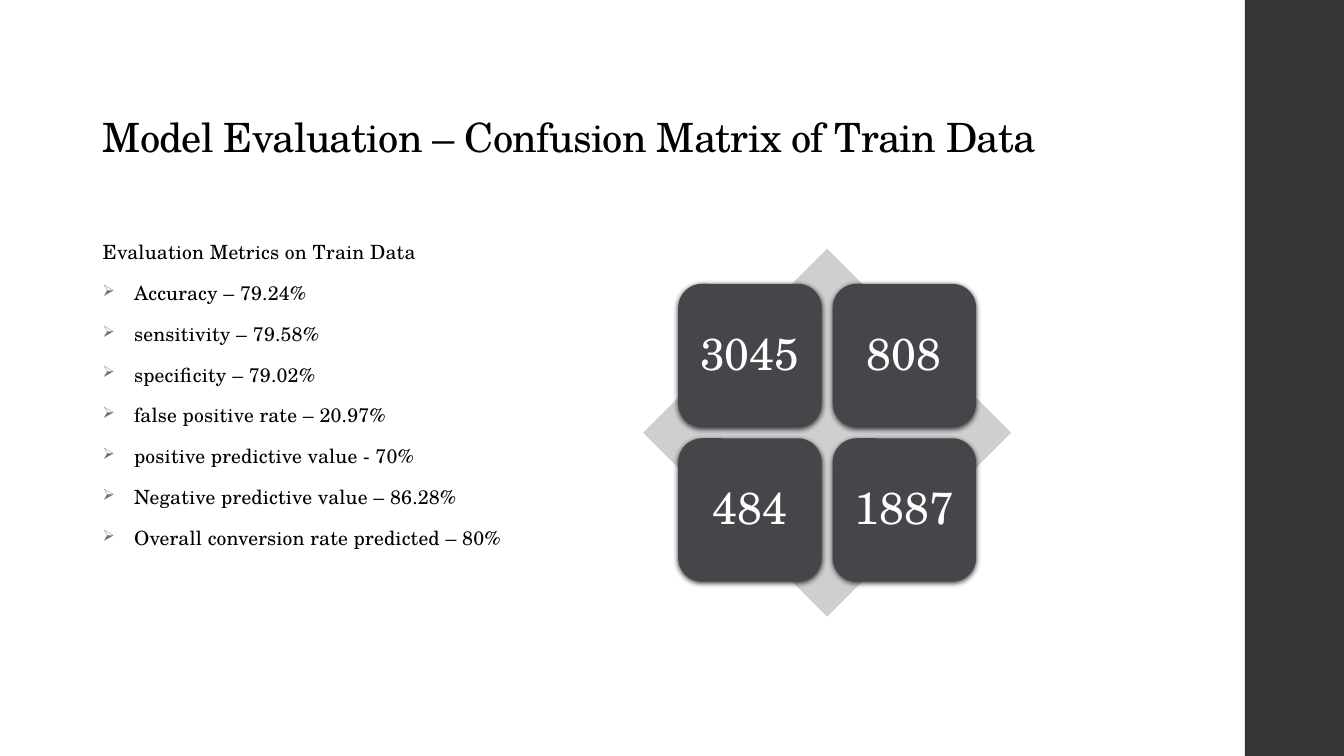
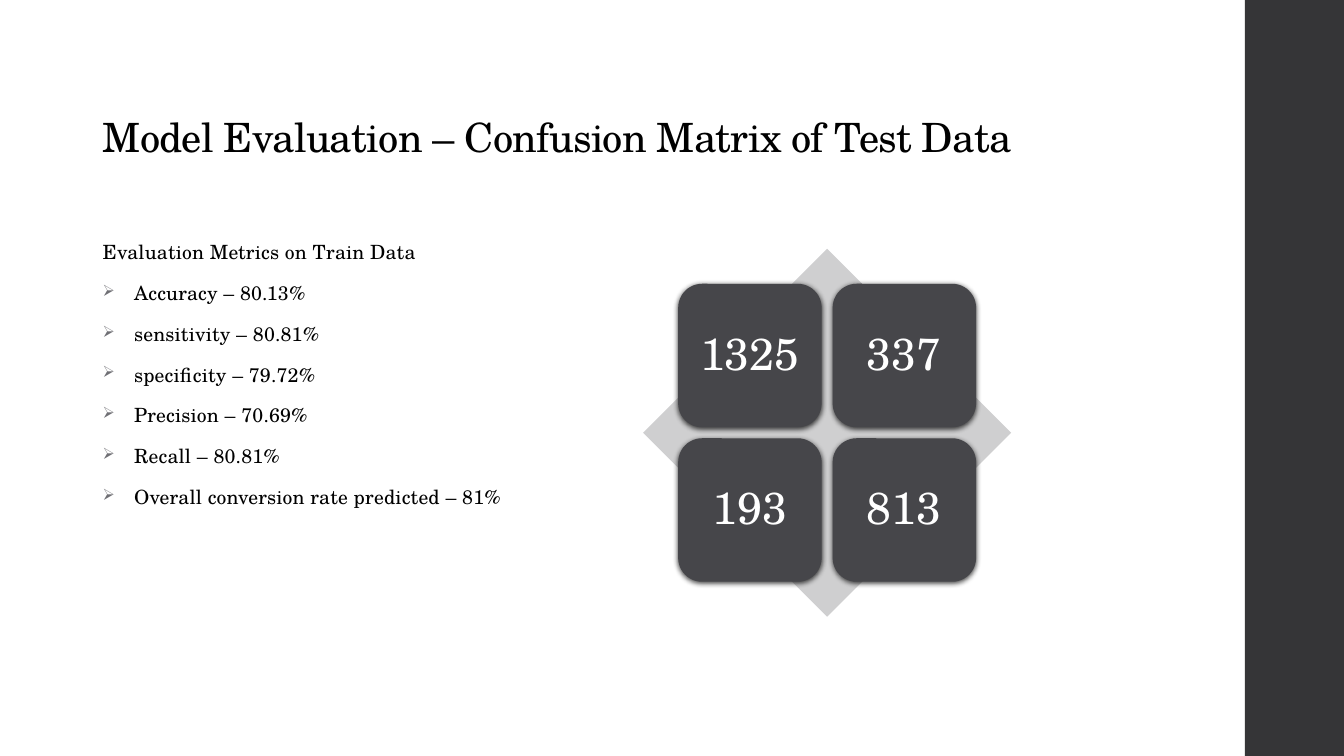
from dataclasses import dataclass

from lxml import etree
from pptx import Presentation
from pptx.dml.color import RGBColor
from pptx.enum.shapes import MSO_SHAPE
from pptx.enum.text import MSO_ANCHOR, PP_ALIGN
from pptx.oxml.ns import qn
from pptx.util import Cm, Pt

RECTANGLE, DIAMOND = MSO_SHAPE.RECTANGLE, MSO_SHAPE.DIAMOND
ROUNDED = MSO_SHAPE.ROUNDED_RECTANGLE
TOP, MIDDLE, BOTTOM = MSO_ANCHOR.TOP, MSO_ANCHOR.MIDDLE, MSO_ANCHOR.BOTTOM
CENTER = PP_ALIGN.CENTER

# Content
SLIDES = [
    {
        "title": "Model Evaluation – Confusion Matrix of Train Data",
        "heading": "Evaluation Metrics on Train Data",
        "metrics": [
            "Accuracy – 79.24%",
            "sensitivity – 79.58%",
            "specificity – 79.02%",
            "false positive rate – 20.97%",
            "positive predictive value - 70%",
            "Negative predictive value – 86.28%",
            "Overall conversion rate predicted – 80%",
        ],
        "matrix": [[3045, 808], [484, 1887]],
    },
    {
        "title": "Model Evaluation – Confusion Matrix of Test Data",
        "heading": "Evaluation Metrics on Train Data",
        "metrics": [
            "Accuracy – 80.13%",
            "sensitivity – 80.81%",
            "specificity – 79.72%",
            "Precision – 70.69%",
            "Recall – 80.81%",
            "Overall conversion rate predicted – 81%",
        ],
        "matrix": [[1325, 337], [193, 813]],
    },
]


@dataclass(frozen=True)
class Theme:
    font: str = "TeX Gyre Schola"
    text: str = "000000"
    band: str = "353537"
    diamond: str = "CFCFD0"
    tile: str = "46464A"
    tile_text: str = "FFFFFF"
    bullet: str = "6F6F74"
    shadow: str = "000000"
    title_size: float = 28.8
    body_size: float = 14
    tile_size: float = 32


THEME = Theme()

# Layout in centimetres
SLIDE_WIDTH, SLIDE_HEIGHT = 33.87, 19.05
BAND_WIDTH = 2.5
TITLE_BOX = (2.34, 2.82, 25.22, 1.37)
BODY_BOX = (2.34, 5.84, 12.22, 10.59)
BULLET_INDENT = 0.79
DIAMOND_LEFT, DIAMOND_TOP, DIAMOND_SIZE = 16.21, 6.27, 9.27
TILE_SIZE = 0.39 * DIAMOND_SIZE
TILE_STEP = 0.42 * DIAMOND_SIZE
TILE_MARGIN = (DIAMOND_SIZE - TILE_STEP - TILE_SIZE) / 2
TILE_INSET = 0.33


def add_filled_shape(slide, kind, box, color):
    shape = slide.shapes.add_shape(kind, *map(Cm, box))
    shape.shadow.inherit = False
    shape.fill.solid()
    shape.fill.fore_color.rgb = RGBColor.from_string(color)
    shape.line.fill.background()
    return shape


def add_text_box(slide, box, anchor):
    frame = slide.shapes.add_textbox(*map(Cm, box)).text_frame
    frame.word_wrap = True
    frame.vertical_anchor = anchor
    return frame


def write(paragraph, text, size, color, line_spacing, tracking=0):
    """Fill a paragraph; tracking is in hundredths of a point."""
    run = paragraph.add_run()
    run.text = text
    if tracking:
        run.font._element.set("spc", str(tracking))
    paragraph.line_spacing = line_spacing
    paragraph.font.name = THEME.font
    paragraph.font.size = Pt(size)
    paragraph.font.color.rgb = RGBColor.from_string(color)


def add_bullet(paragraph):
    properties = paragraph._p.get_or_add_pPr()
    properties.set("marL", str(Cm(BULLET_INDENT)))
    properties.set("indent", str(-Cm(BULLET_INDENT)))
    color = etree.SubElement(properties, qn("a:buClr"))
    etree.SubElement(color, qn("a:srgbClr"), val=THEME.bullet)
    etree.SubElement(properties, qn("a:buSzPct"), val="80000")
    etree.SubElement(properties, qn("a:buChar"), char="➢")


def add_soft_shadow(shape):
    effects = shape._element.spPr.find(qn("a:effectLst"))
    shadow = etree.SubElement(
        effects, qn("a:outerShdw"), blurRad=str(Pt(4)), dist=str(Pt(1.2)),
        dir="5400000", algn="ctr", rotWithShape="0")
    color = etree.SubElement(shadow, qn("a:srgbClr"), val=THEME.shadow)
    etree.SubElement(color, qn("a:alpha"), val="75000")


def add_frame(slide, title):
    """Side band and title, shared by all slides."""
    band_box = (SLIDE_WIDTH - BAND_WIDTH, 0, BAND_WIDTH, SLIDE_HEIGHT)
    add_filled_shape(slide, RECTANGLE, band_box, THEME.band)
    frame = add_text_box(slide, TITLE_BOX, BOTTOM)
    write(frame.paragraphs[0], title, THEME.title_size, THEME.text, 0.9, -50)


def add_metrics(slide, heading, metrics):
    frame = add_text_box(slide, BODY_BOX, TOP)
    for index, text in enumerate([heading, *metrics]):
        paragraph = frame.add_paragraph() if index else frame.paragraphs[0]
        if index:
            add_bullet(paragraph)
        write(paragraph, text, THEME.body_size, THEME.text, 1.14, 10)
        paragraph.space_before = Pt(8)
        paragraph.space_after = Pt(2)


def add_tile(slide, left, top, value):
    tile = add_filled_shape(
        slide, ROUNDED, (left, top, TILE_SIZE, TILE_SIZE), THEME.tile)
    add_soft_shadow(tile)
    frame = tile.text_frame
    frame.word_wrap = False
    frame.vertical_anchor = MIDDLE
    frame.margin_left = frame.margin_right = Cm(TILE_INSET)
    frame.margin_top = frame.margin_bottom = Cm(TILE_INSET)
    paragraph = frame.paragraphs[0]
    paragraph.alignment = CENTER
    write(paragraph, str(value), THEME.tile_size, THEME.tile_text, 0.9)


def add_matrix(slide, matrix):
    diamond_box = (DIAMOND_LEFT, DIAMOND_TOP, DIAMOND_SIZE, DIAMOND_SIZE)
    add_filled_shape(slide, DIAMOND, diamond_box, THEME.diamond)
    for row, values in enumerate(matrix):
        for column, value in enumerate(values):
            add_tile(slide,
                     DIAMOND_LEFT + TILE_MARGIN + column * TILE_STEP,
                     DIAMOND_TOP + TILE_MARGIN + row * TILE_STEP,
                     value)


def main():
    presentation = Presentation()
    presentation.slide_width = Cm(SLIDE_WIDTH)
    presentation.slide_height = Cm(SLIDE_HEIGHT)
    blank_layout = presentation.slide_layouts[6]
    for content in SLIDES:
        slide = presentation.slides.add_slide(blank_layout)
        add_frame(slide, content["title"])
        add_matrix(slide, content["matrix"])
        add_metrics(slide, content["heading"], content["metrics"])
    presentation.save("out.pptx")


if __name__ == "__main__":
    main()
